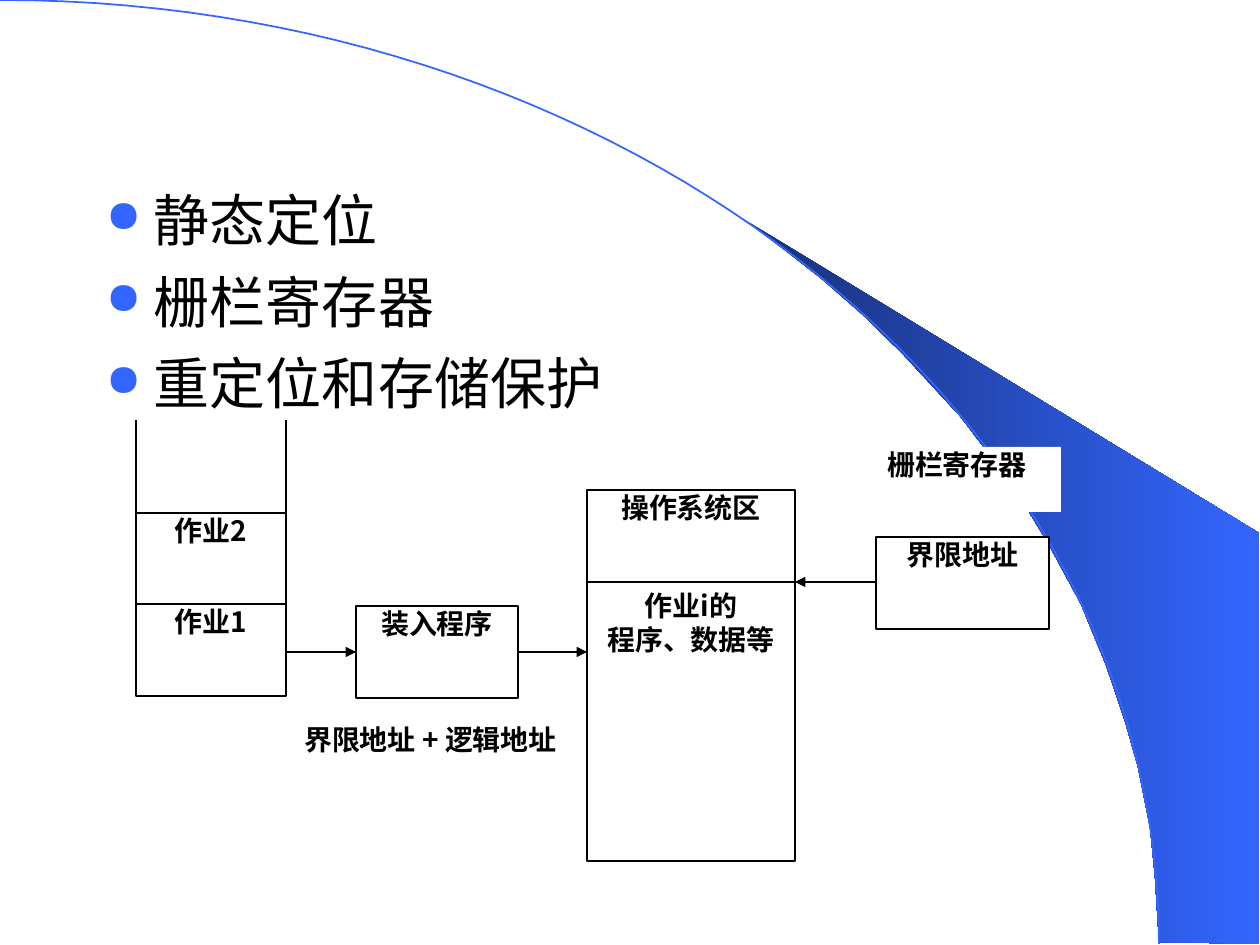
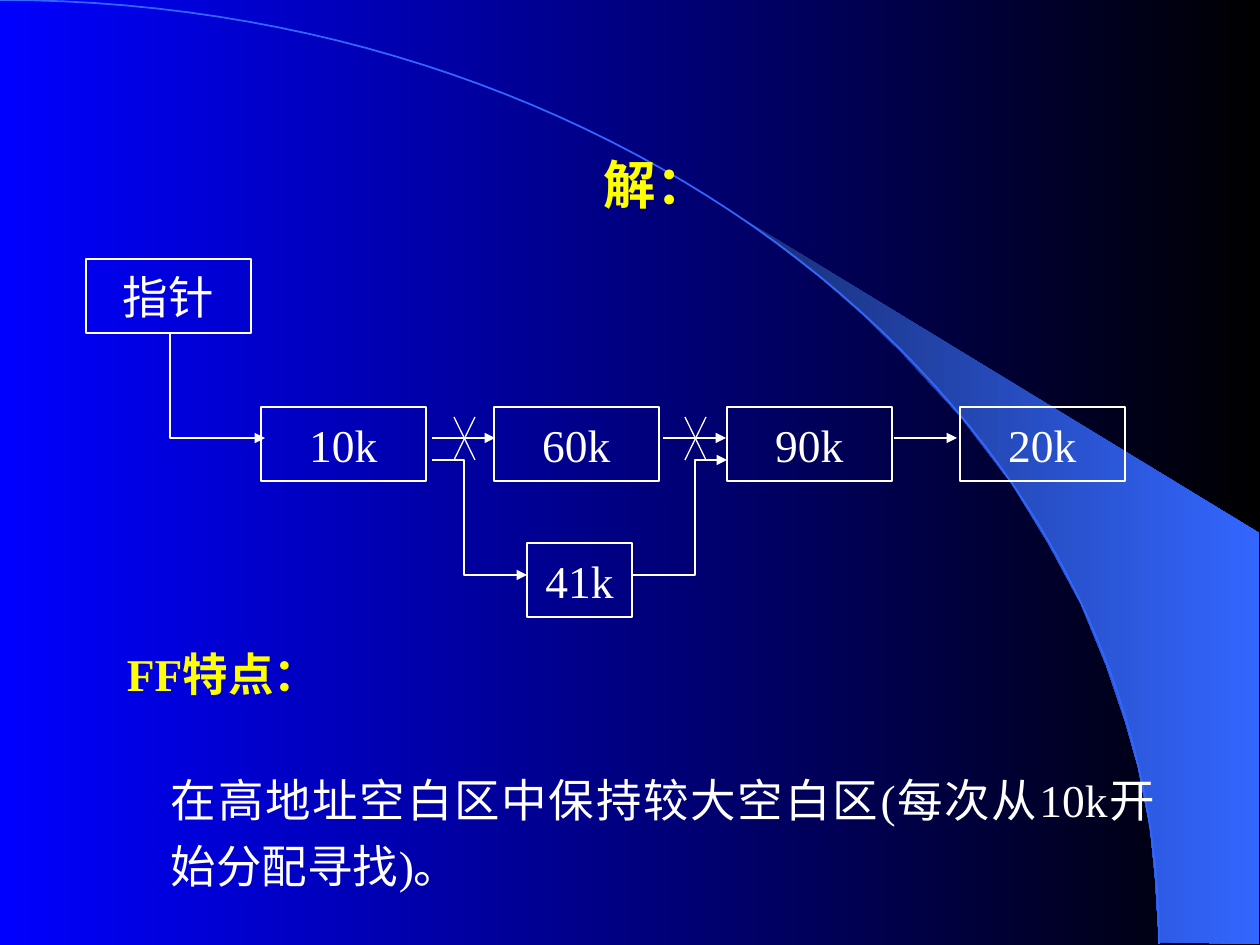
from dataclasses import dataclass

from lxml import etree
from pptx import Presentation
from pptx.dml.color import RGBColor
from pptx.enum.shapes import MSO_CONNECTOR, MSO_SHAPE
from pptx.enum.text import MSO_ANCHOR, PP_ALIGN
from pptx.oxml.ns import qn
from pptx.util import Emu, Pt

RECTANGLE = MSO_SHAPE.RECTANGLE
STRAIGHT = MSO_CONNECTOR.STRAIGHT
TOP, MIDDLE = MSO_ANCHOR.TOP, MSO_ANCHOR.MIDDLE
LEFT, CENTER, JUSTIFY = PP_ALIGN.LEFT, PP_ALIGN.CENTER, PP_ALIGN.JUSTIFY
EMU_PER_PX = 914400 / 126


@dataclass(frozen=True)
class Theme:
    """Colours, type sizes and line widths of the deck."""
    white: str = "FFFFFF"
    black: str = "000000"
    yellow: str = "FFFF00"
    accent: str = "3366FF"
    swoosh: tuple = ("182F76", "3366FF")
    night: tuple = ("0000FF", "000000")
    bullet_size: int = 32
    title_size: int = 30
    body_size: int = 26
    label_size: int = 16
    line_ratio: float = 1.21
    thin: float = 0.75
    arc: float = 1
    thick: float = 1.5


@dataclass(frozen=True)
class Type:
    """A text style: size, colour, fonts and weight."""
    size: int
    color: str
    latin: str
    asian: str
    bold: bool = False


@dataclass(frozen=True)
class Box:
    """A region in px whose contents are placed from its top left corner."""
    left: int
    top: int
    width: int
    height: int

    def inner(self, left, top, width, height):
        """Return a box inside this one."""
        return Box(self.left + left, self.top + top, width, height)

    def points(self, *pairs):
        """Shift points given relative to this box."""
        return [(self.left + x, self.top + y) for x, y in pairs]

    def emu(self):
        """Return left, top, width and height in EMU."""
        return [px(n) for n in (self.left, self.top, self.width, self.height)]


THEME = Theme()
JP, SC, TIMES = "Noto Sans CJK JP", "Noto Sans CJK SC", "Times New Roman"
BULLET = Type(THEME.bullet_size, THEME.black, JP, JP)
MEMORY = Type(THEME.label_size, THEME.black, SC, SC, True)
TITLE = Type(THEME.title_size, THEME.yellow, TIMES, JP, True)
HEADING = Type(THEME.body_size, THEME.yellow, TIMES, JP, True)
BODY = Type(THEME.body_size, THEME.white, TIMES, JP)
PAGE = Box(0, 0, 1260, 945)


def px(length):
    """Turn px into EMU."""
    return Emu(round(length * EMU_PER_PX))


def rgb(color):
    """Turn a hex string into a colour."""
    return RGBColor.from_string(color)


def paint_gradient(fill, colors):
    """Fill from left to right with two colours."""
    fill.gradient()
    fill.gradient_angle = 0
    for position, (stop, color) in enumerate(zip(fill.gradient_stops, colors)):
        stop.position = position
        stop.color.rgb = rgb(color)


def draw_line(line, color, width, arrow=False):
    """Set a line's colour, width and arrowhead."""
    line.color.rgb = rgb(color)
    line.width = Pt(width)
    if arrow:
        etree.SubElement(line._get_or_add_ln(), qn("a:tailEnd"), type="triangle")


def write(shape, lines, style, align=CENTER, anchor=TOP, insets=(12, 6),
          wrap=True, leading=1, gap=0):
    """Write styled paragraphs into a shape and return them."""
    frame = shape.text_frame
    frame.word_wrap = wrap
    frame.vertical_anchor = anchor
    frame.margin_left = frame.margin_right = px(insets[0])
    frame.margin_top = frame.margin_bottom = px(insets[1])
    frame.text = "\n".join(lines)
    for number, para in enumerate(frame.paragraphs):
        para.alignment = align
        para.line_spacing = Pt(round(style.size * THEME.line_ratio * leading, 1))
        para.space_before = Pt(gap if number else 0)
        for span in para.runs:
            span.font.size = Pt(style.size)
            span.font.bold = style.bold
            span.font.color.rgb = rgb(style.color)
            span.font.name = style.latin
            etree.SubElement(span._r.get_or_add_rPr(), qn("a:ea"),
                             typeface=style.asian)
    return frame.paragraphs


def add_text(page, box, lines, style, **layout):
    """Add a text box and return its paragraphs."""
    return write(page.shapes.add_textbox(*box.emu()), lines, style, **layout)


def add_block(page, box, lines, style, fill=None, line=None, width=1, **layout):
    """Add a rectangle that holds text."""
    block = page.shapes.add_shape(RECTANGLE, *box.emu())
    block.shadow.inherit = False
    if fill:
        block.fill.solid()
        block.fill.fore_color.rgb = rgb(fill)
    else:
        block.fill.background()
    if line:
        draw_line(block.line, line, width)
    else:
        block.line.fill.background()
    write(block, lines, style, **layout)


def add_link(page, points, color, width, arrow=False):
    """Add a straight line between two points."""
    ends = [px(n) for point in points for n in point]
    link = page.shapes.add_connector(STRAIGHT, *ends)
    draw_line(link.line, color, width, arrow)
    etree.SubElement(link._element.spPr, qn("a:effectLst"))


def add_outline(page, points, close=False):
    """Add an unfilled freeform through the points."""
    start, *rest = [(px(x), px(y)) for x, y in points]
    builder = page.shapes.build_freeform(*start)
    builder.add_line_segments(rest, close=close)
    outline = builder.convert_to_shape()
    outline.shadow.inherit = False
    outline.fill.background()
    return outline


def add_elbow(page, points):
    """Add a bent arrow."""
    draw_line(add_outline(page, points).line, THEME.white, THEME.thin, True)


def bezier(controls, steps=60):
    """Sample a cubic curve."""
    weights = (1, 3, 3, 1)
    for step in range(steps + 1):
        t = step / steps
        yield tuple(sum(w * (1 - t) ** (3 - i) * t ** i * point[axis]
                        for i, (w, point) in enumerate(zip(weights, controls)))
                    for axis in (0, 1))


def add_backdrop(page, box):
    """Draw the gradient swoosh and the large arc shared by all slides."""
    edge = box.points(
        (1159, 942), (1259, 944), (1259, 533), (742, 218), (786, 251),
        (823, 280), (863, 315), (902, 353), (960, 416), (1012, 484),
        (1048, 543), (1081, 604), (1106, 665), (1125, 721), (1138, 767),
        (1150, 827), (1155, 877))
    swoosh = add_outline(page, edge, close=True)
    paint_gradient(swoosh.fill, THEME.swoosh)
    swoosh.line.fill.background()
    curve = bezier(box.points((0, 0), (640, 0), (1159, 422), (1159, 944)))
    draw_line(add_outline(page, curve).line, THEME.accent, THEME.arc)


def add_bullets(page, box, lines):
    """List the topics with round accent bullets."""
    for para in add_text(page, box, lines, BULLET, align=JUSTIFY, gap=8):
        props = para._p.get_or_add_pPr()
        props.set("marL", str(px(48)))
        props.set("indent", str(-px(48)))
        color = etree.SubElement(props, qn("a:buClr"))
        etree.SubElement(color, qn("a:srgbClr"), val=THEME.accent)
        etree.SubElement(props, qn("a:buSzPct"), val="80000")
        etree.SubElement(props, qn("a:buChar"), char="●")


def add_memory_map(page, box):
    """Draw jobs, loader, memory and fence register with their arrows."""
    blocks = [
        ((451, 70, 208, 92), ["操作系统区"], True, 0),
        ((451, 162, 208, 279), ["作业i的", "程序、数据等"], True, 6),
        ((740, 117, 173, 92), ["界限地址"], True, 0),
        ((717, 27, 208, 65), ["栅栏寄存器"], False, 0),
        ((0, 93, 150, 91), ["作业2"], True, 0),
        ((0, 184, 150, 92), ["作业1"], True, 0),
        ((150, 302, 289, 92), ["界限地址 + 逻辑地址"], False, 0),
        ((220, 186, 162, 92), ["装入程序"], True, 0),
    ]
    for place, lines, framed, inset in blocks:
        add_block(page, box.inner(*place), lines, MEMORY, THEME.white,
                  THEME.black if framed else None, THEME.thick,
                  insets=(2 * inset, inset))
    for x in (0, 150):
        add_link(page, box.points((x, 0), (x, 93)), THEME.black, THEME.thick)
    for start, end, y in ((150, 220, 232), (382, 451, 232), (740, 659, 162)):
        add_link(page, box.points((start, y), (end, y)),
                 THEME.black, THEME.thick, True)


def add_free_list(page, box):
    """Draw the pointer and the chain of free areas with the inserted one."""
    chain = [((175 + 233 * i, 148, 165, 74), size)
             for i, size in enumerate(("10k", "60k", "90k", "20k"))]
    for place, label in [((0, 0, 165, 74), "指针"), *chain,
                         ((441, 284, 105, 74), "41k")]:
        add_block(page, box.inner(*place), [label], BODY, line=THEME.white,
                  width=THEME.thin, anchor=MIDDLE, insets=(10, 5), wrap=False)
    for i in range(3):
        x = 346 + 231 * i
        add_link(page, box.points((x, 179), (x + 63, 179)),
                 THEME.white, THEME.thin, True)
    for i in range(2):
        left, right = 368 + 231 * i, 389 + 231 * i
        for start, end in ((left, right), (right, left)):
            add_link(page, box.points((start, 158), (end, 201)),
                     THEME.white, THEME.thin)
    for route in (((84, 75), (84, 179), (179, 179)),
                  ((346, 201), (378, 201), (378, 316), (441, 316)),
                  ((546, 316), (609, 316), (609, 201), (641, 201))):
        add_elbow(page, box.points(*route))


def build_relocation(page):
    """Build the slide on static relocation and the fence register."""
    add_backdrop(page, PAGE)
    add_bullets(page, Box(94, 179, 1134, 240),
                ["静态定位", "栅栏寄存器", "重定位和存储保护"])
    add_memory_map(page, Box(136, 420, 925, 441))


def build_first_fit(page):
    """Build the slide with the first-fit solution."""
    paint_gradient(page.background.fill, THEME.night)
    add_backdrop(page, PAGE)
    add_text(page, Box(53, 136, 1207, 95), ["解："], TITLE, anchor=MIDDLE)
    add_free_list(page, Box(86, 259, 1040, 358))
    add_text(page, Box(159, 754, 1008, 144),
             ["在高地址空白区中保持较大空白区(每次从10k开始分配寻找)。"],
             BODY, align=JUSTIFY, leading=1.2)
    add_text(page, Box(116, 640, 252, 66), ["FF特点："], HEADING,
             align=LEFT, insets=(11, 5))


def main():
    """Build and save the deck."""
    deck = Presentation()
    deck.slide_width, deck.slide_height = px(PAGE.width), px(PAGE.height)
    for build in (build_relocation, build_first_fit):
        build(deck.slides.add_slide(deck.slide_layouts[6]))
    deck.save("out.pptx")


if __name__ == "__main__":
    main()
